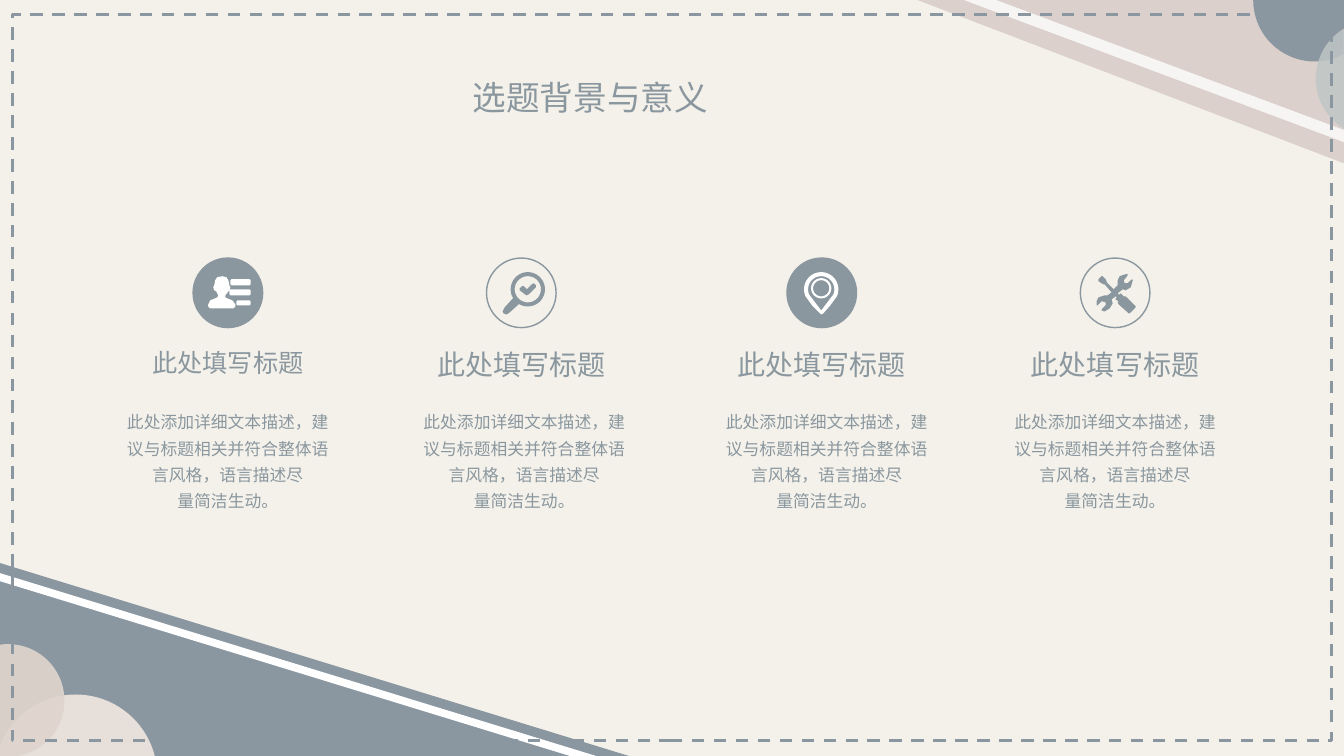
from math import cos, radians, sin
from lxml.etree import SubElement
from pptx import Presentation
from pptx.dml.color import RGBColor
from pptx.enum.dml import MSO_LINE
from pptx.enum.shapes import MSO_SHAPE
from pptx.enum.text import MSO_AUTO_SIZE, PP_ALIGN
from pptx.oxml.ns import qn
from pptx.util import Inches, Pt

TITLE = "选题背景与意义"
HEAD = "此处填写标题"
BODY = ["此处添加详细文本描述，建", "议与标题相关并符合整体语", "言风格，语言描述尽", "量简洁生动。"]
FONT = "Noto Sans CJK SC"
COLORS = {"back": "F4F1EB", "text": "8A979E", "slate": "8A96A0", "white": "FFFFFF",
          "rose": "DBD0CB", "mist": "BFC6C6", "sand": "E7DFD9", "blush": "DFD5CD"}
WIDE, HIGH = 13.33, 7.5

# Outline parts: (x, y) point, (x, y, radius, from, to) arc, (l, t, r, b) bar
TOP = [
    ("rose", 100, [(9.1, 0), (WIDE, 0), (WIDE, 1.62)]),
    ("white", 80, [(9.56, 0), (9.88, 0), (WIDE, 1.29), (WIDE, 1.41)]),
    ("slate", 100, [(13.04, 0, 0.61, 62, 180), (WIDE, 0)]),
    ("mist", 85, [(13.63, 0.78, 0.58, 121, 239)]),
]
WEDGE = [
    ("slate", MSO_SHAPE.RIGHT_TRIANGLE, (-0.02, 5.58, 6.29, 1.93)),
    ("white", MSO_SHAPE.DIAGONAL_STRIPE, (-0.02, 5.68, 6.03, 1.85)),
]
DISCS = [
    ("sand", 100, [(0.75, 7.7, 0.81, 194, 346)]),
    ("blush", 91, [(0.08, 6.95, 0.56, -100, 100)]),
]

# Icon outlines, in hundredths of an inch from the corner of the ring
PERSON = [
    [(37, 21, 57, 27)], [(36, 31, 57, 37)], [(43, 42, 57, 47)],
    [(15, 48), (15, 46), (17, 42), (22, 40), (24, 39), (25, 37), (23, 33), (21, 32),
     (20, 29), (21, 27), (22, 22), (24, 19), (29, 18), (33, 19), (35, 22), (36, 27),
     (37, 29), (36, 32), (35, 33), (32, 37), (32, 39), (34, 40), (39, 42), (42, 46),
     (42, 48), (40, 50), (17, 50)],
]
LENS = [
    [(41, 31, 17, 149, 481), (23, 54), (20, 56), (17, 55), (16, 53), (18, 49)],
    [(41, 31, 13, 0, 360)],
    [(47, 25), (49, 27), (49, 29), (42, 36), (40, 37), (38, 36), (33, 32), (33, 30),
     (35, 28), (37, 28), (40, 31), (45, 26)],
]
PIN = [
    [(34, 31, 17, 155, 385), (43, 47), (36, 55), (34, 56), (33, 55), (25, 47)],
    [(34, 31, 13, 155, 385), (34, 52)],
    [(34, 30, 10, 0, 360)], [(34, 30, 8, 0, 360)],
]
TOOLS = [
    [(54, 47), (45, 38), (43, 38), (41, 36), (40, 35), (39, 36), (38, 36), (37, 35),
     (42, 31), (45, 32), (50, 29), (52, 22), (51, 21), (47, 25), (44, 25), (43, 22),
     (44, 21), (47, 17), (47, 16), (45, 16), (39, 18), (37, 22), (37, 27), (33, 31),
     (26, 24), (26, 23), (25, 21), (22, 18), (21, 18), (18, 21), (18, 23), (21, 25),
     (23, 26), (24, 26), (31, 34), (27, 37), (24, 37), (18, 39), (16, 43), (16, 47),
     (17, 47), (21, 43), (22, 43), (25, 44), (25, 47), (21, 51), (21, 52), (24, 53),
     (29, 50), (32, 45), (31, 41), (35, 38), (36, 39), (35, 40), (35, 41), (38, 43),
     (37, 44), (38, 46), (47, 54), (48, 55), (50, 54), (54, 50), (55, 48)],
]
# Centre of column, shift of body, size of heading, icon, ring is filled
COLUMNS = [(2.26, 0, 18, PERSON, True), (5.17, 0.03, 20, LENS, False),
           (8.15, 0.05, 20, PIN, True), (11.06, 0, 20, TOOLS, False)]
ROWS = {"ring": 2.56, "head": 3.4, "body": 3.98}
COL, RING = 2.43, 0.69


def color(name):
    return RGBColor.from_string(COLORS[name])


def paint(shape, fill=None, alpha=100, line=None, width=1):
    shape.shadow.inherit = False
    if fill:
        shape.fill.solid()
        shape.fill.fore_color.rgb = color(fill)
        if alpha < 100:
            tone = shape.fill._xPr.find(".//" + qn("a:srgbClr"))
            SubElement(tone, qn("a:alpha"), val=str(alpha * 1000))
    else:
        shape.fill.background()
    if line:
        shape.line.color.rgb = color(line)
        shape.line.width = Pt(width)
    else:
        shape.line.fill.background()
    return shape


def trace(parts):
    """Turn points, arcs and bars into one list of points."""
    dots = []
    for part in parts:
        if len(part) == 2:
            dots.append(part)
        elif len(part) == 4:
            l, t, r, b = part
            dots += [(l + 1, t), (r - 1, t), (r, t + 1), (r, b - 1),
                     (r - 1, b), (l + 1, b), (l, b - 1), (l, t + 1)]
        else:
            x, y, size, start, end = part
            steps = (end - start) // 4
            turns = [radians(start + (end - start) * i / steps) for i in range(steps + 1)]
            dots += [(x + size * cos(a), y + size * sin(a)) for a in turns]
    return dots


def draw(loops, left=0, top=0, unit=1):
    """Build one freeform out of closed loops."""
    pen = None
    for loop in loops:
        dots = [(Inches(left + x * unit), Inches(top + y * unit)) for x, y in trace(loop)]
        if pen is None:
            pen = slide.shapes.build_freeform(*dots[0], scale=1.0)
        else:
            pen.move_to(*dots[0])
        pen.add_line_segments(dots[1:], close=True)
    return pen.convert_to_shape()


def shape(kind, box):
    return slide.shapes.add_shape(kind, *map(Inches, box))


def write(box, lines, size, **form):
    frame = slide.shapes.add_textbox(*map(Inches, box)).text_frame
    frame.word_wrap = True
    frame.auto_size = MSO_AUTO_SIZE.SHAPE_TO_FIT_TEXT
    for i, line in enumerate(lines):
        para = frame.add_paragraph() if i else frame.paragraphs[0]
        for key, value in form.items():
            setattr(para, key, value)
        run = para.add_run()
        run.text = line
        run.font.color.rgb = color("text")
        for key, value in {"size": Pt(size), "name": FONT}.items():
            setattr(run.font, key, value)
        SubElement(run.font._element, qn("a:ea"), typeface=FONT)


deck = Presentation()
deck.slide_width, deck.slide_height = Inches(WIDE), Inches(HIGH)
slide = deck.slides.add_slide(deck.slide_layouts[6])
slide.background.fill.solid()
slide.background.fill.fore_color.rgb = color("back")

for fill, alpha, loop in TOP:
    paint(draw([loop]), fill, alpha)
for fill, kind, box in WEDGE:
    part = paint(shape(kind, box), fill)
    if kind == MSO_SHAPE.DIAGONAL_STRIPE:
        part.adjustments[0] = 0.957
        part._element.spPr.find(qn("a:xfrm")).set("flipV", "1")
for fill, alpha, loop in DISCS:
    paint(draw([loop]), fill, alpha)
border = paint(shape(MSO_SHAPE.RECTANGLE, (0.12, 0.14, 13.09, 7.21)), line="slate", width=2.25)
border.line.dash_style = MSO_LINE.DASH

write((4.59, 0.71, 4.15, 0.5), [TITLE], 24, alignment=PP_ALIGN.JUSTIFY)
for mid, shift, size, icon, solid in COLUMNS:
    left = mid - COL / 2
    write((left + shift, ROWS["body"], COL, 1.13), BODY, 12,
          alignment=PP_ALIGN.CENTER, line_spacing=1.3)
    write((left, ROWS["head"], COL, size / 45), [HEAD], size, alignment=PP_ALIGN.CENTER)
    edge = mid - RING / 2
    ring = shape(MSO_SHAPE.OVAL, (edge, ROWS["ring"], RING, RING))
    paint(ring, "text" if solid else None, line="text")
    paint(draw(icon, edge, ROWS["ring"], 0.01), "white" if solid else "text")

deck.save("out.pptx")
